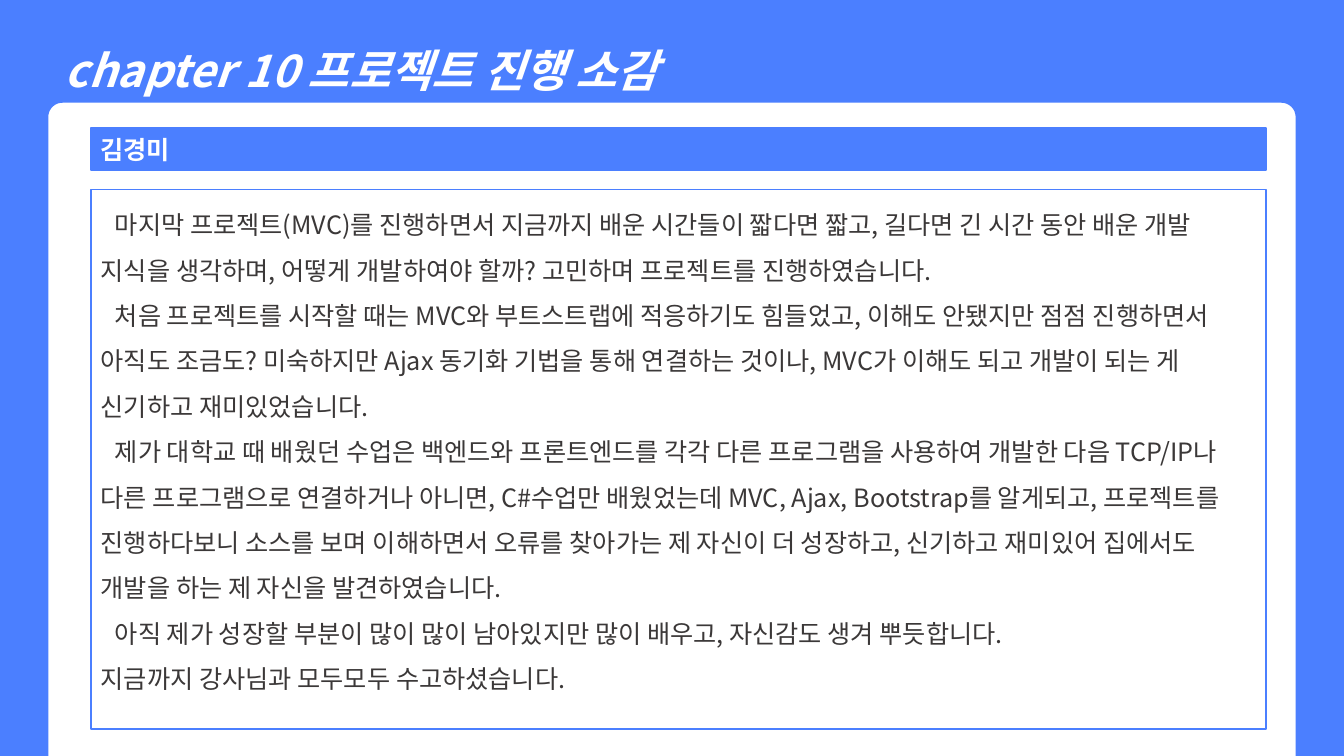
from math import cos, pi, sin

from lxml.etree import SubElement
from pptx import Presentation
from pptx.dml.color import RGBColor
from pptx.enum.shapes import MSO_SHAPE
from pptx.enum.text import MSO_ANCHOR, MSO_AUTO_SIZE, PP_ALIGN
from pptx.oxml.ns import qn
from pptx.util import Inches, Pt

COLOURS = {"blue": "4B7FFF", "white": "FFFFFF", "ink": "3B3838"}

TITLE = "chapter 10 프로젝트 진행 소감"
AUTHOR = "김경미"
REFLECTIONS = [
    "마지막 프로젝트(MVC)를 진행하면서 지금까지 배운 시간들이 짧다면 짧고, 길다면 긴 시간 동안 배운 개발 "
    "지식을 생각하며, 어떻게 개발하여야 할까? 고민하며 프로젝트를 진행하였습니다.",
    "처음 프로젝트를 시작할 때는 MVC와 부트스트랩에 적응하기도 힘들었고, 이해도 안됐지만 점점 진행하면서 "
    "아직도 조금도? 미숙하지만 Ajax 동기화 기법을 통해 연결하는 것이나, MVC가 이해도 되고 개발이 되는 게 "
    "신기하고 재미있었습니다.",
    "제가 대학교 때 배웠던 수업은 백엔드와 프론트엔드를 각각 다른 프로그램을 사용하여 개발한 다음 TCP/IP나 "
    "다른 프로그램으로 연결하거나 아니면, C#수업만 배웠었는데 MVC, Ajax, Bootstrap를 알게되고, "
    "프로젝트를 진행하다보니 소스를 보며 이해하면서 오류를 찾아가는 제 자신이 더 성장하고, 신기하고 재미있어 "
    "집에서도 개발을 하는 제 자신을 발견하였습니다.",
    "아직 제가 성장할 부분이 많이 많이 남아있지만 많이 배우고, 자신감도 생겨 뿌듯합니다.",
]
CLOSING = "지금까지 강사님과 모두모두 수고하셨습니다."


class ReflectionPage:
    font_name = "Noto Sans CJK KR"
    body_size = 18
    border = 1.25

    def __init__(self, deck):
        self.width, self.height = deck.slide_width, deck.slide_height
        self.page = deck.slides.add_slide(deck.slide_layouts[1])

    def across(self, percent):
        return round(self.width * percent / 100)

    def down(self, percent):
        return round(self.height * percent / 100)

    def place(self, box, left, top, width, height):
        box.left, box.top = self.across(left), self.down(top)
        box.width, box.height = self.across(width), self.down(height)

    def paint(self, box, fill, line=None):
        box.fill.solid()
        box.fill.fore_color.rgb = RGBColor.from_string(COLOURS[fill])
        if line:
            box.line.color.rgb = RGBColor.from_string(COLOURS[line])
            box.line.width = Pt(self.border)
        else:
            box.line.fill.background()

    def set_text(self, box, lines, size, colour, anchor, bold=False, italic=False, spacing=1.0):
        frame = box.text_frame
        frame.word_wrap = True
        frame.auto_size = MSO_AUTO_SIZE.NONE
        frame.vertical_anchor = anchor
        for number, (text, indent) in enumerate(lines):
            para = frame.add_paragraph() if number else frame.paragraphs[0]
            para.text = text
            para.alignment = PP_ALIGN.LEFT
            para.line_spacing = spacing
            para.space_before = Pt(0)
            properties = para._p.get_or_add_pPr()
            properties.set("marL", "0")
            properties.set("indent", str(Inches(indent)))
            SubElement(properties, qn("a:buNone"))
            font = para.font
            font.size, font.bold, font.italic = Pt(size), bold, italic
            font.color.rgb = RGBColor.from_string(COLOURS[colour])
            font.name = self.font_name
            SubElement(properties.find(qn("a:defRPr")), qn("a:ea"), typeface=self.font_name)

    def frame(self, side, top, radius):
        left, right = self.across(side), self.across(100 - side)
        edge, corner = self.down(top), Inches(radius)
        angles = [step * pi / 24 for step in range(13)]
        curve = [(corner * (1 - sin(angle)), corner * (1 - cos(angle))) for angle in angles]
        points = [(self.width, 0), (self.width, self.height), (right, self.height)]
        points += [(right - x, edge + y) for x, y in reversed(curve)]
        points += [(left + x, edge + y) for x, y in curve]
        points += [(left, self.height), (0, self.height)]
        builder = self.page.shapes.build_freeform(0, 0)
        builder.add_line_segments([(round(x), round(y)) for x, y in points])
        outline = builder.convert_to_shape()
        outline.shadow.inherit = False
        self.paint(outline, "blue")
        self.page.shapes._spTree.insert(2, outline._element)

    def title(self, text, *area):
        box = self.page.shapes.title
        self.place(box, *area)
        self.set_text(box, [(text, 0)], 32, "white", MSO_ANCHOR.MIDDLE, True, True, 1.5)

    def band(self, text, *area):
        box = self.page.shapes.add_shape(MSO_SHAPE.RECTANGLE, 0, 0, 0, 0)
        self.place(box, *area)
        box.shadow.inherit = False
        self.paint(box, "blue", "blue")
        self.set_text(box, [(text, 0)], self.body_size, "white", MSO_ANCHOR.MIDDLE, True)

    def body(self, lines, *area):
        box = self.page.placeholders[1]
        self.place(box, *area)
        self.paint(box, "white", "blue")
        self.set_text(box, lines, self.body_size, "ink", MSO_ANCHOR.TOP, spacing=1.5)


def main():
    deck = Presentation()
    deck.slide_width, deck.slide_height = Inches(13.33), Inches(7.5)
    page = ReflectionPage(deck)
    page.frame(3.6, 13.6, 0.14)
    page.title(TITLE, 4.05, 2.33, 91.97, 10.2)
    page.band(AUTHOR, 6.75, 16.93, 87.47, 5.6)
    lines = [(text, 0.14) for text in REFLECTIONS] + [(CLOSING, 0)]
    page.body(lines, 6.75, 25.07, 87.47, 71.33)
    deck.save("out.pptx")


if __name__ == "__main__":
    main()
